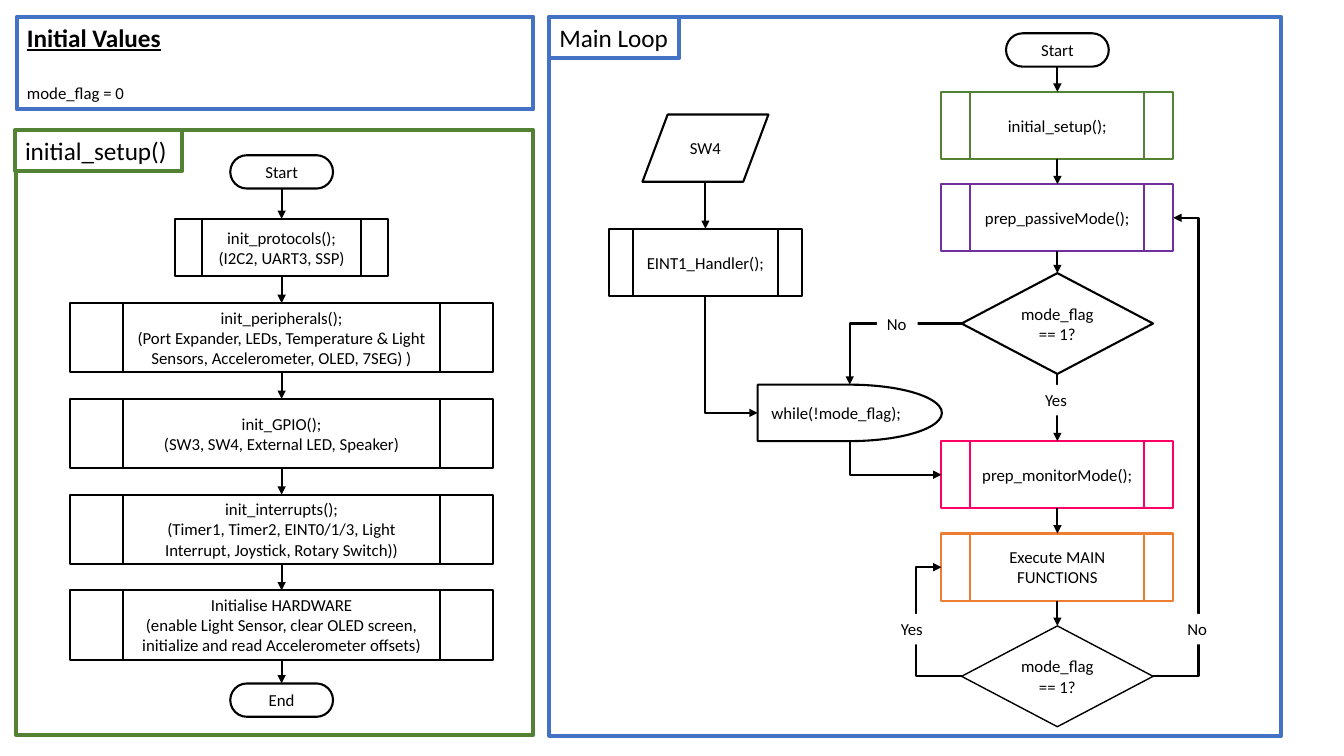
"""Flowcharts of the setup routine and the main loop on one slide."""
from lxml import etree
from pptx import Presentation
from pptx.dml.color import RGBColor
from pptx.enum.shapes import MSO_CONNECTOR as LINK, MSO_SHAPE as SHAPE
from pptx.enum.text import MSO_ANCHOR as ANCHOR, MSO_AUTO_SIZE as AUTO, PP_ALIGN as ALIGN
from pptx.oxml.ns import qn
from pptx.util import Pt

BLACK, WHITE, BLUE, GREEN = "000000", "FFFFFF", "4472C4", "548235"
PROCESS, DECISION, TERMINAL = (
    SHAPE.FLOWCHART_PREDEFINED_PROCESS, SHAPE.FLOWCHART_DECISION, SHAPE.FLOWCHART_TERMINATOR)
TOP, LEFT, BOTTOM, RIGHT = range(4)

FRAMES = [
    (BLUE, (392.4, 12.2, 522.7, 513.4)),
    (BLUE, (12.2, 12.2, 368.6, 65.5)),
    (GREEN, (11.5, 92.9, 369.4, 432)),
]
TITLES = [
    ("Main Loop", BLUE, (392.4, 12.2, 92.9, 29.1)),
    ("initial_setup()", GREEN, (10.8, 92.9, 119.5, 29.1)),
]
INITIAL_VALUES = ["Initial Values", "mode_flag = 0"]

SETUP_CENTRE, SETUP_TOP, SETUP_STEP = 201.2, 216.5, 68.4
SETUP_TASKS = [
    ["init_peripherals();",
     "(Port Expander, LEDs, Temperature & Light Sensors, Accelerometer, OLED, 7SEG) )"],
    ["init_GPIO();", "(SW3, SW4, External LED, Speaker)"],
    ["init_interrupts();",
     "(Timer1, Timer2, EINT0/1/3, Light Interrupt, Joystick, Rotary Switch))"],
    ["Initialise HARDWARE",
     "(enable Light Sensor, clear OLED screen, initialize and read Accelerometer offsets)"],
]
SETUP_STEPS = [
    (TERMINAL, ["Start"], BLACK, 1.5, 110.9, 73.4, 23.8),
    (PROCESS, ["init_protocols();", "(I2C2, UART3, SSP)"], BLACK, 1.5, 156.4, 152, 41),
    *[(PROCESS, task, BLACK, 1.5, SETUP_TOP + SETUP_STEP * row, 302, 49.4)
      for row, task in enumerate(SETUP_TASKS)],
    (TERMINAL, ["End"], BLACK, 1.5, 488.2, 73.4, 23.8),
]
LOOP_CENTRE = 755.3
LOOP_STEPS = [
    (TERMINAL, ["Start"], BLACK, 1.5, 23.8, 73.4, 23.8),
    (PROCESS, ["initial_setup();"], GREEN, 1.5, 65.6, 165.6, 48),
    (PROCESS, ["prep_passiveMode();"], "7030A0", 1.5, 131.6, 165.6, 48),
    (DECISION, ["mode_flag == 1?"], BLACK, 1.5, 195.1, 136.8, 72),
    (PROCESS, ["prep_monitorMode();"], "FF0066", 1.5, 315.1, 165.6, 48),
    (PROCESS, ["Execute MAIN FUNCTIONS"], "ED7D31", 1.5, 381.1, 165.6, 48),
    (DECISION, ["mode_flag == 1?"], BLACK, 1, 447.1, 136.8, 72),
]
SWITCH_CENTRE = 503.9
SWITCH = (SHAPE.FLOWCHART_DATA, ["SW4"], BLACK, 1.5, 81.8, 90, 48)
HANDLER = (PROCESS, ["EINT1_Handler();"], BLACK, 1.5, 163.5, 138.2, 48)
WAIT_CENTRE = 607
WAIT = (SHAPE.FLOWCHART_DELAY, ["while(!mode_flag);"], BLACK, 1.5, 274.8, 131.6, 40.3)
ANSWERS = [("No", 841, 438.5), ("No", 626.4, 220.3), ("Yes", 739.4, 275), ("Yes", 636.5, 438.5)]
DETOUR = 32.4

deck = Presentation()
deck.slide_width, deck.slide_height = Pt(960), Pt(540)
slide = deck.slides.add_slide(deck.slide_layouts[6])
shapes = slide.shapes


def colour(hex_text):
    return RGBColor.from_string(hex_text)


def write(frame, lines, size, align):
    for number, line in enumerate(lines):
        paragraph = frame.paragraphs[0] if number == 0 else frame.add_paragraph()
        paragraph.text, paragraph.alignment = line, align
        for name, value in {"name": "Calibri", "size": Pt(size)}.items():
            setattr(paragraph.font, name, value)
        paragraph.font.color.rgb = colour(BLACK)


def paint(shape, line, width):
    shape.fill.solid()
    shape.fill.fore_color.rgb = colour(WHITE)
    if line:
        shape.line.color.rgb, shape.line.width = colour(line), Pt(width)


def add_frame(line, box):
    frame = shapes.add_shape(SHAPE.RECTANGLE, *map(Pt, box))
    frame.shadow.inherit = False
    paint(frame, line, 3)
    return frame


def add_label(lines, size, line, box, wrap=False):
    label = shapes.add_textbox(*map(Pt, box))
    paint(label, line, 3)
    label.text_frame.word_wrap = wrap
    label.text_frame.auto_size = AUTO.SHAPE_TO_FIT_TEXT
    write(label.text_frame, lines, size, ALIGN.LEFT)
    return label


def add_step(centre, kind, lines, line, line_width, top, width, height):
    step = shapes.add_shape(kind, *map(Pt, (centre - width / 2, top, width, height)))
    step.shadow.inherit = False
    paint(step, line, line_width)
    step.text_frame.vertical_anchor = ANCHOR.MIDDLE
    write(step.text_frame, lines, 12, ALIGN.CENTER)
    return step


def side(step, site):
    middle_x, middle_y = step.left + step.width // 2, step.top + step.height // 2
    return {TOP: (middle_x, step.top), LEFT: (step.left, middle_y),
            BOTTOM: (middle_x, step.top + step.height),
            RIGHT: (step.left + step.width, middle_y)}[site]


def add_arrow(kind, start, end):
    arrow = shapes.add_connector(kind, *start, *end)
    arrow.line.color.rgb, arrow.line.width = colour(BLACK), Pt(1.5)
    etree.SubElement(arrow.line._get_or_add_ln(), qn("a:tailEnd"), type="triangle")
    etree.SubElement(arrow._element.spPr, qn("a:effectLst"))
    return arrow


def add_drop(upper, lower, join_upper=True):
    arrow = add_arrow(LINK.STRAIGHT, side(upper, BOTTOM), side(lower, TOP))
    if join_upper:
        arrow.begin_connect(upper, BOTTOM)
    arrow.end_connect(lower, TOP)


def add_corner(start, end, down_first):
    arrow = add_arrow(LINK.ELBOW, start, end)
    arrow._element.spPr.find(qn("a:prstGeom")).set("prst", "bentConnector2")
    if down_first:
        across, down = end[0] - start[0], end[1] - start[1]
        arrow.left = start[0] + (across - down) // 2
        arrow.top = start[1] + (down - across) // 2
        arrow.width, arrow.height = down, across
        xfrm = arrow._element.spPr.find(qn("a:xfrm"))
        xfrm.set("rot", "16200000")
        xfrm.set("flipH", "1")


def add_return(start, end):
    arrow = add_arrow(LINK.ELBOW, start, end)
    xfrm = arrow._element.spPr.find(qn("a:xfrm"))
    if end[0] < start[0]:
        for flip in ("flipH", "flipV"):
            xfrm.attrib.pop(flip, None)
        xfrm.set("rot", "10800000")
    bend = round(Pt(DETOUR) / abs(end[0] - start[0]) * 100000)
    guides = arrow._element.spPr.find(qn("a:prstGeom")).get_or_add_avLst()
    etree.SubElement(guides, qn("a:gd"), name="adj1", fmla=f"val {bend}")


def add_chain(centre, content):
    steps = [add_step(centre, *step) for step in content]
    for upper, lower in zip(steps, steps[1:]):
        add_drop(upper, lower)
    return steps


for line, box in FRAMES:
    add_frame(line, box)
for title, line, box in TITLES:
    add_label([title], 18, line, box)

values = add_label(INITIAL_VALUES, 12, BLUE, FRAMES[1][1], wrap=True)
heading, flag = values.text_frame.paragraphs
for name, value in {"size": Pt(18), "bold": True, "underline": True}.items():
    setattr(heading.font, name, value)
flag.space_before = Pt(22)

add_chain(SETUP_CENTRE, SETUP_STEPS)
loop = add_chain(LOOP_CENTRE, LOOP_STEPS)
passive, check, monitor, execute, recheck = loop[2:]
switch, handler = add_step(SWITCH_CENTRE, *SWITCH), add_step(SWITCH_CENTRE, *HANDLER)
wait = add_step(WAIT_CENTRE, *WAIT)
add_drop(switch, handler, join_upper=False)
add_corner(side(check, LEFT), side(wait, TOP), down_first=False)
add_corner(side(wait, BOTTOM), side(monitor, LEFT), down_first=True)
add_corner(side(handler, BOTTOM), side(wait, LEFT), down_first=True)
add_return(side(recheck, RIGHT), side(passive, RIGHT))
add_return(side(recheck, LEFT), side(execute, LEFT))

for answer, left, top in ANSWERS:
    add_label([answer], 12, None, (left, top, 29 if answer == "No" else 30.5, 21.8))

deck.save("out.pptx")
